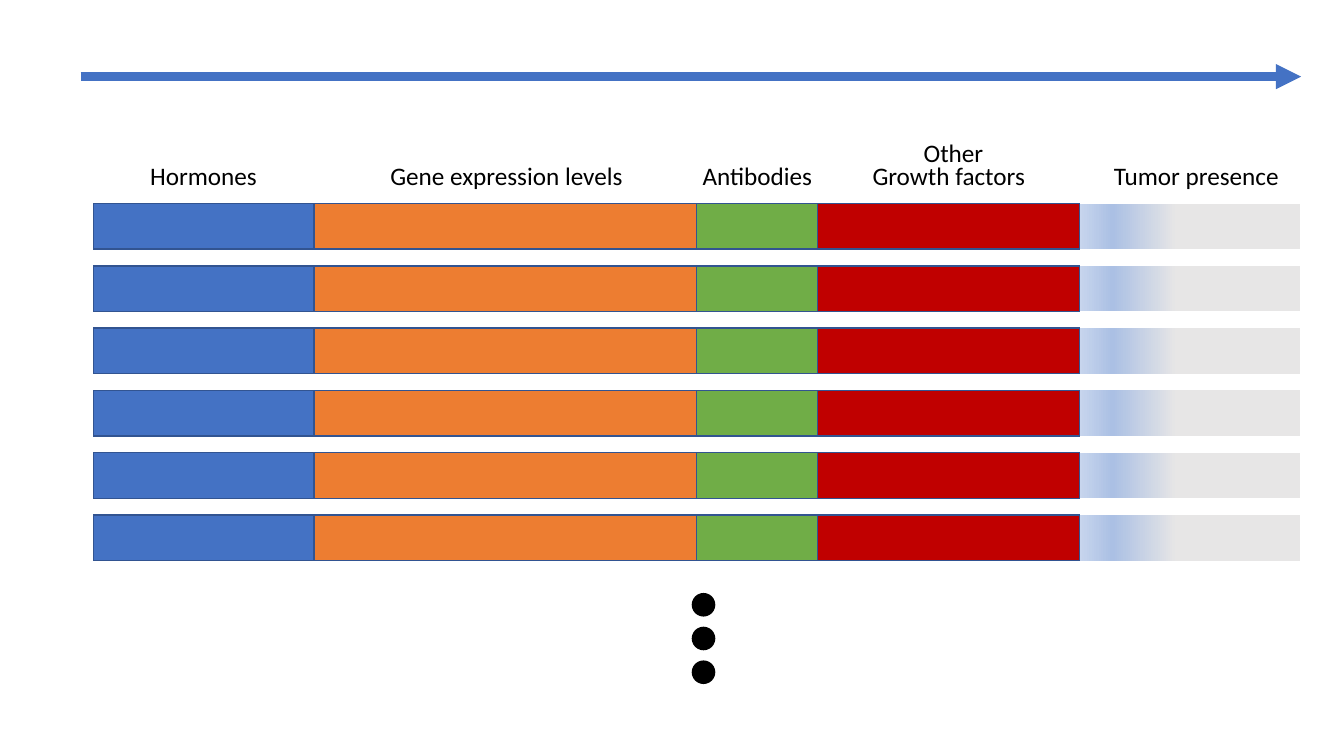
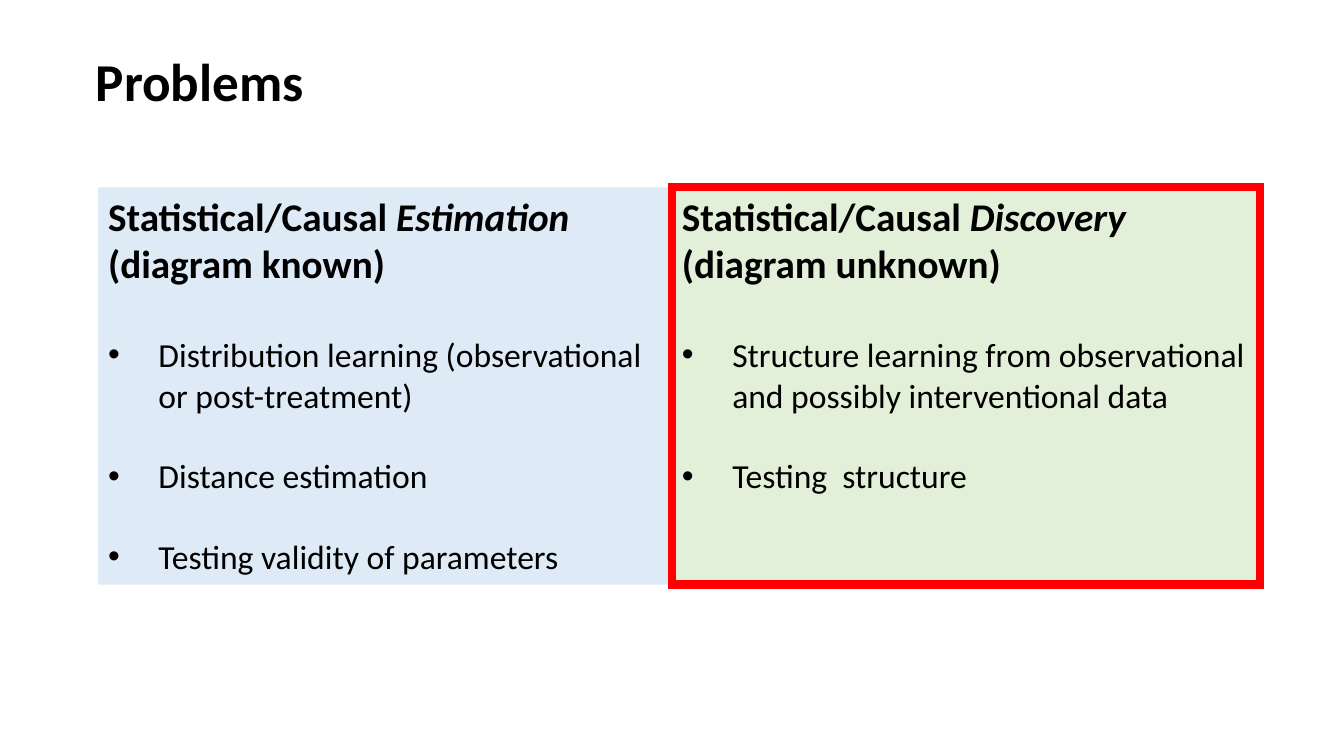
from dataclasses import dataclass
from itertools import accumulate

from lxml import etree
from pptx import Presentation
from pptx import util as u
from pptx.dml import color
from pptx.enum import shapes, text
from pptx.oxml import ns, parse_xml


@dataclass(frozen=True)
class Theme:
    font: str = "Calibri"
    black: str = "000000"
    blue: str = "4472C4"
    orange: str = "ED7D31"
    green: str = "70AD47"
    crimson: str = "C00000"
    edge: str = "325491"
    sky: str = "DEEBF7"
    mint: str = "E2F0D9"
    red: str = "FF0000"
    fade: tuple = ((0, "E7E6E6"), (56, "E7E6E6"), (85, "ABC0E4"), (100, "C7D5ED"))
    title: int = 38
    head: int = 28
    item: int = 24
    label: int = 18
    thin: int = 1
    thick: int = 6


T = Theme()
RECT = shapes.MSO_SHAPE.RECTANGLE
OVAL = shapes.MSO_SHAPE.OVAL
LEFT, MID = text.PP_ALIGN.LEFT, text.PP_ALIGN.CENTER


def rgb(value):
    return color.RGBColor.from_string(value)


def cm(*values):
    return [u.Cm(value) for value in values]


def write(para, words, size, bold=False, italic=False, align=LEFT, after=0):
    para.alignment = align
    para.space_before = u.Pt(0)
    para.space_after = u.Pt(after)
    run = para.add_run()
    run.text = words
    font = run.font
    font.name, font.size = T.font, u.Pt(size)
    font.bold, font.italic = bold, italic
    font.color.rgb = rgb(T.black)


def stroke(shape, tone, width, tag, **attrs):
    shape.line.color.rgb = rgb(tone)
    shape.line.width = u.Pt(width)
    line = shape.element.spPr.find(ns.qn("a:ln"))
    etree.SubElement(line, ns.qn(tag), **attrs)


def paint(shape, fill=None, line=None, width=T.thin):
    if fill:
        shape.fill.solid()
        shape.fill.fore_color.rgb = rgb(fill)
    else:
        shape.fill.background()
    if line:
        stroke(shape, line, width, "a:miter", lim="800000")
    else:
        shape.line.fill.background()


def block(slide, kind, box, **look):
    shape = slide.shapes.add_shape(kind, *cm(*box))
    shape.shadow.inherit = False
    paint(shape, **look)
    return shape


def fade(shape):
    stops = "".join(
        f'<a:gs pos="{pos * 1000}"><a:srgbClr val="{tone}"/></a:gs>' for pos, tone in T.fade
    )
    grad = parse_xml(
        f'<a:gradFill {ns.nsdecls("a")} rotWithShape="1"><a:gsLst>{stops}</a:gsLst>'
        '<a:lin ang="10800000" scaled="0"/></a:gradFill>'
    )
    props = shape.element.spPr
    props.replace(props.find(ns.qn("a:noFill")), grad)


def label(slide, words, centre, top, width):
    box = slide.shapes.add_textbox(*cm(centre - width / 2, top, width, 1.02))
    frame = box.text_frame
    frame.word_wrap = False
    frame.margin_left = frame.margin_right = 0
    write(frame.paragraphs[0], words, T.label, align=MID)


def arrow(slide, left, top, width):
    line = slide.shapes.add_connector(
        shapes.MSO_CONNECTOR.STRAIGHT, *cm(left, top, left + width, top)
    )
    stroke(line, T.blue, T.thick, "a:tailEnd", type="triangle")
    etree.SubElement(line.element.spPr, ns.qn("a:effectLst"))


def bars(slide, left, top, count, pitch, high):
    parts = [
        ("Hormones", 5.56, T.blue, 0),
        ("Gene expression levels", 9.65, T.orange, 0.03),
        ("Antibodies", 3.05, T.green, 0),
        ("Growth factors", 6.6, T.crimson, 0),
        ("Tumor presence", 5.56, None, 0.16),
    ]
    starts = accumulate((part[1] for part in parts), initial=left)
    for start, (name, width, fill, nudge) in zip(starts, parts):
        label(slide, name, start + width / 2 + nudge, top - 1.21, width + 0.4)
        for row in range(count):
            box = (start, top + row * pitch, width, high)
            bar = block(slide, RECT, box, fill=fill, line=fill and T.edge)
            if not fill:
                fade(bar)


def dots(slide, left, top, size, pitch):
    for row in range(3):
        box = (left, top + row * pitch, size, size)
        block(slide, OVAL, box, fill=T.black, line=T.black)


def place(holder, box):
    holder.left, holder.top, holder.width, holder.height = cm(*box)
    frame = holder.text_frame
    frame.word_wrap = True
    frame.auto_size = text.MSO_AUTO_SIZE.NONE
    frame.vertical_anchor = text.MSO_ANCHOR.TOP
    return frame


def indent(para, depth):
    props = para._p.get_or_add_pPr()
    props.set("marL", str(u.Cm(depth)))
    props.set("indent", str(-u.Cm(depth)))
    if not depth:
        etree.SubElement(props, ns.qn("a:buNone"))


def panel(holder, box, fill, topic, state, items):
    frame = place(holder, box)
    paint(holder, fill=fill)
    head = frame.paragraphs[0]
    for words, slant in (("Statistical/Causal ", False), (topic, True), (f" ({state})", False)):
        write(head, words, T.head, bold=True, italic=slant, after=34)
    indent(head, 0)
    for item in items:
        para = frame.add_paragraph()
        write(para, item, T.item, after=29)
        indent(para, 1.27)


def data(deck):
    slide = deck.slides.add_slide(deck.slide_layouts[6])
    arrow(slide, 2.03, 1.93, 30.76)
    bars(slide, 2.35, 5.13, count=6, pitch=1.57, high=1.15)
    label(slide, "Other", 24.03, 3.33, 2.03)
    dots(slide, 17.45, 14.96, size=0.56, pitch=0.85)


def problems(deck):
    slide = deck.slides.add_slide(deck.slide_layouts[3])
    title, left, right = slide.placeholders
    frame = place(title, (2.16, 1.09, 12.01, 1.88))
    write(frame.paragraphs[0], "Problems", T.title, bold=True)
    panel(left, (2.47, 4.72, 14.46, 10.01), T.sky, "Estimation", "diagram known", [
        "Distribution learning (observational or post-treatment)",
        "Distance estimation",
        "Testing validity of parameters",
    ])
    box = (16.93, 4.72, 14.83, 10.01)
    panel(right, box, T.mint, "Discovery", "diagram unknown", [
        "Structure learning from observational and possibly interventional data",
        "Testing  structure",
    ])
    block(slide, RECT, box, line=T.red, width=T.thick)


def main():
    deck = Presentation()
    deck.slide_width, deck.slide_height = cm(33.87, 19.05)
    data(deck)
    problems(deck)
    deck.save("out.pptx")


if __name__ == "__main__":
    main()
